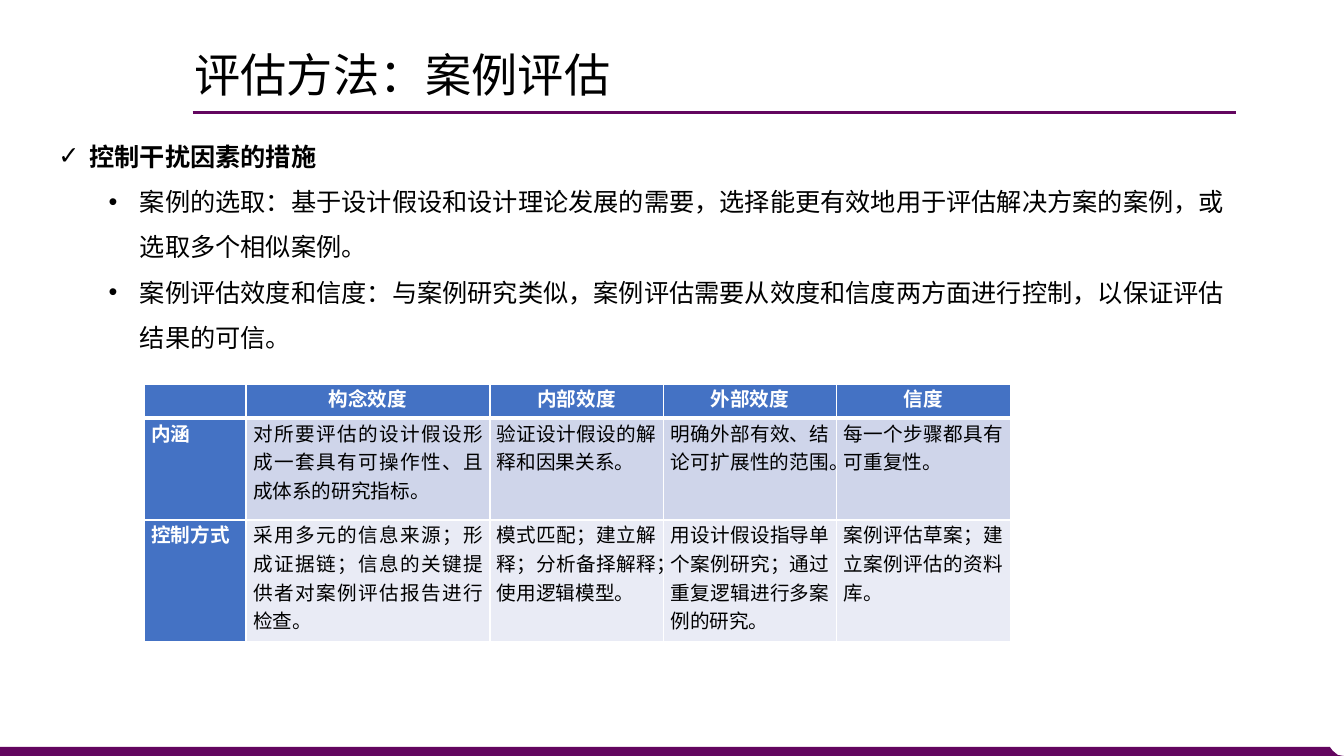
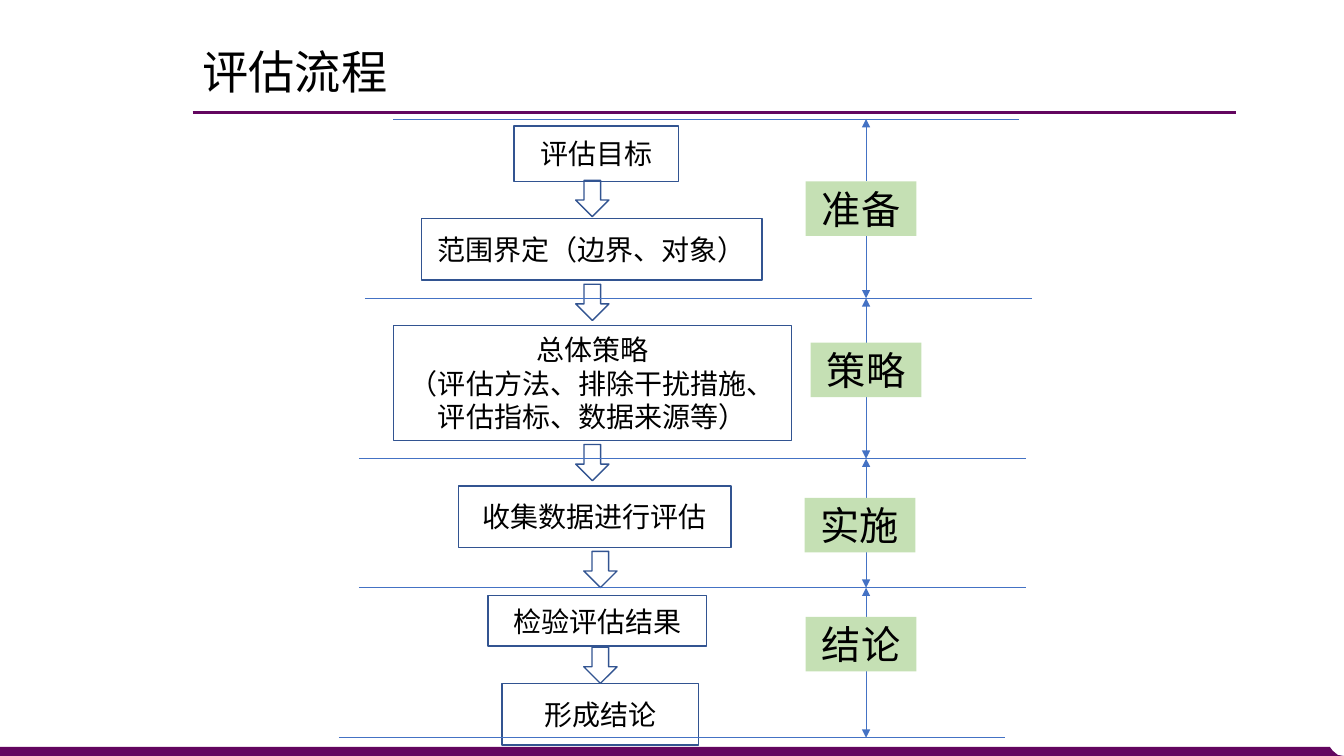
from itertools import pairwise

from pptx import Presentation
from pptx import util as u
from pptx.dml.color import RGBColor
from pptx.enum import shapes, text
from pptx.oxml import ns, xmlchemy

PX = 9144
WIDE, HIGH = 1333, 750
FONT = "Noto Sans CJK SC"
INK = {
    "plum": "63065F", "black": "000000", "white": "FFFFFF", "blue": "4472C4",
    "navy": "325491", "green": "C5E0B4", "band": "CFD5EA", "pale": "E9EBF5",
}
MID = text.MSO_ANCHOR.MIDDLE
TOP = text.MSO_ANCHOR.TOP
LEFT, CENTER, EVEN = text.PP_ALIGN.LEFT, text.PP_ALIGN.CENTER, text.PP_ALIGN.JUSTIFY

POINTS = [
    ("控制干扰因素的措施", "✓", 31, True),
    ("案例的选取：基于设计假设和设计理论发展的需要，选择能更有效地用于评估解决方案的案例，或选取多个相似案例。", "•", 81, False),
    ("案例评估效度和信度：与案例研究类似，案例评估需要从效度和信度两方面进行控制，以保证评估结果的可信。", "•", 81, False),
]
GRID = [
    ["", "构念效度", "内部效度", "外部效度", "信度"],
    ["内涵", "对所要评估的设计假设形成一套具有可操作性、且成体系的研究指标。",
     "验证设计假设的解释和因果关系。", "明确外部有效、结论可扩展性的范围。",
     "每一个步骤都具有可重复性。"],
    ["控制方式", "采用多元的信息来源；形成证据链；信息的关键提供者对案例评估报告进行检查。",
     "模式匹配；建立解释；分析备择解释；使用逻辑模型。",
     "用设计假设指导单个案例研究；通过重复逻辑进行多案例的研究。",
     "案例评估草案；建立案例评估的资料库。"],
]
STEPS = [
    (174, 7, 163, 55, ["评估目标"]),
    (82, 99, 338, 61, ["范围界定（边界、对象）"]),
    (54, 205, 395, 114, ["总体策略", "（评估方法、排除干扰措施、评估指标、数据来源等）"]),
    (119, 364, 270, 61, ["收集数据进行评估"]),
    (148, 473, 217, 50, ["检验评估结果"]),
    (162, 560, 195, 61, ["形成结论"]),
]
ARROWS = [(235, 61), (235, 164), (235, 323), (243, 429), (243, 524)]
RULES = [(54, 675, 0), (26, 688, 178), (20, 682, 337), (20, 682, 465), (0, 661, 614)]
STAGES = [(463, 62, "准备"), (468, 222, "策略"), (462, 376, "实施"), (463, 494, "结论")]


def emu(*nums):
    """Turn px into EMU."""
    return [round(n * PX) for n in nums]


def tint(name):
    """Look up a colour."""
    return RGBColor.from_string(INK[name])


def node(home, tag, **attrs):
    """Append an XML element with attributes."""
    item = xmlchemy.OxmlElement(tag)
    for key, val in attrs.items():
        item.set(key, str(val))
    home.append(item)
    return item


def write(frame, lines, size=18, color="black", bold=False, font=FONT,
          align=LEFT, anchor=TOP, lead=None):
    """Fill a text frame and return its paragraphs."""
    frame.word_wrap = True
    frame.vertical_anchor = anchor
    paras = []
    for i, line in enumerate(lines):
        para = frame.add_paragraph() if i else frame.paragraphs[0]
        para.alignment = align
        if lead:
            para.line_spacing = lead
        run = para.add_run()
        run.text = line
        face = run.font
        face.size, face.bold, face.name = u.Pt(size), bold, font
        face.color.rgb = tint(color)
        node(face._element, "a:ea", typeface=FONT)
        paras.append(para)
    return paras


def shape(slide, kind, box, fill=None, line=None):
    """Add a flat preset shape."""
    form = slide.shapes.add_shape(kind, *emu(*box))
    paint(form, fill, line)
    return form


def paint(form, fill, line):
    """Set fill and outline without a shadow."""
    form.shadow.inherit = False
    if fill:
        form.fill.solid()
        form.fill.fore_color.rgb = tint(fill)
    else:
        form.fill.background()
    if line:
        form.line.color.rgb = tint(line)
        form.line.width = u.Pt(1)
    else:
        form.line.fill.background()


def stroke(slide, start, end, color="blue", width=0.5, tip=False):
    """Draw a straight line, with an arrowhead if asked."""
    wire = slide.shapes.add_connector(shapes.MSO_CONNECTOR.STRAIGHT, *emu(*start, *end))
    wire.line.color.rgb = tint(color)
    wire.line.width = u.Pt(width)
    if tip:
        node(wire.line._get_or_add_ln(), "a:tailEnd", type="triangle")
    node(wire._element.spPr, "a:effectLst")


def base(deck, title, box):
    """Add a slide with the footer band, title rule and title."""
    slide = deck.slides.add_slide(deck.slide_layouts[6])
    pen = slide.shapes.build_freeform(0, 741, scale=PX)
    pen.add_line_segments([(1319, 741), (1322, 745), (1327, 749), (WIDE, HIGH), (0, HIGH)])
    paint(pen.convert_to_shape(), "plum", None)
    stroke(slide, (191, 112), (1226, 112), "plum", 2.25)
    frame = slide.shapes.add_textbox(*emu(*box)).text_frame
    write(frame, [title], size=33, font="Arial", anchor=MID, lead=0.9)
    return slide


def bullets(slide, box):
    """Place the bulleted text."""
    frame = slide.shapes.add_textbox(*emu(*box)).text_frame
    paras = write(frame, [row[0] for row in POINTS], lead=u.Pt(32.4))
    for para, (_, mark, left, bold) in zip(paras, POINTS):
        para.runs[0].font.bold = bold
        para.level = int(not bold)
        props = para._p.get_or_add_pPr()
        props.set("marL", str(left * PX))
        props.set("indent", str(-31 * PX))
        node(props, "a:buFont", typeface="Arial")
        node(props, "a:buChar", char=mark)


def edge(cell, low):
    """Give a cell white borders."""
    props = cell._tc.get_or_add_tcPr()
    for side, width in (("L", 1), ("R", 1), ("T", 1), ("B", low)):
        line = node(props, f"a:ln{side}", w=u.Pt(width))
        node(node(line, "a:solidFill"), "a:srgbClr", val=INK["white"])


def grid(slide, box):
    """Place the validity table."""
    table = slide.shapes.add_table(len(GRID), len(GRID[0]), *emu(*box)).table
    table.first_col = True
    for col, wide in zip(table.columns, emu(101, 242, 172, 172, 172)):
        col.width = wide
    for row, high in zip(table.rows, emu(34, 101, 121)):
        row.height = high
    for r, line in enumerate(GRID):
        for c, words in enumerate(line):
            cell = table.cell(r, c)
            head = r == 0 or c == 0
            edge(cell, 1 if r else 3)
            cell.fill.solid()
            cell.fill.fore_color.rgb = tint("blue" if head else ("band", "pale")[r - 1])
            cell.margin_left = cell.margin_right = 7 * PX
            cell.margin_top = cell.margin_bottom = 0
            if words:
                write(cell.text_frame, [words], size=14, bold=head,
                      color="white" if head else "black",
                      align=EVEN if r else CENTER)


def flow(slide, left, top):
    """Place the steps and the arrows between them."""
    for x, y, wide, high, lines in STEPS:
        form = shape(slide, shapes.MSO_SHAPE.RECTANGLE,
                     (left + x, top + y, wide, high), line="navy")
        write(form.text_frame, lines, size=20, align=CENTER, anchor=MID, lead=u.Pt(24))
    for x, y in ARROWS:
        shape(slide, shapes.MSO_SHAPE.DOWN_ARROW, (left + x, top + y, 33, 36), line="navy")


def phases(slide, left, top):
    """Place the dividers and the stage labels spanning them."""
    wide, high = 110, 54
    axis = left + 523
    for x, end, y in RULES:
        stroke(slide, (left + x, top + y), (left + end, top + y))
    spans = pairwise(top + rule[2] for rule in RULES)
    for (x, y, name), (above, below) in zip(STAGES, spans):
        y += top
        stroke(slide, (axis, y), (axis, above), tip=True)
        stroke(slide, (axis, y + high), (axis, below), tip=True)
        form = shape(slide, shapes.MSO_SHAPE.RECTANGLE, (left + x, y, wide, high), fill="green")
        write(form.text_frame, [name], size=28, align=CENTER, anchor=MID)


def main():
    """Build and save the deck."""
    deck = Presentation()
    deck.slide_width, deck.slide_height = emu(WIDE, HIGH)
    case = base(deck, "评估方法：案例评估", (183, 50, 638, 53))
    bullets(case, (48, 120, 1178, 333))
    grid(case, (143, 381, 859, 256))
    steps = base(deck, "评估流程", (191, 47, 638, 53))
    flow(steps, 336, 118)
    phases(steps, 336, 118)
    deck.save("out.pptx")


if __name__ == "__main__":
    main()
